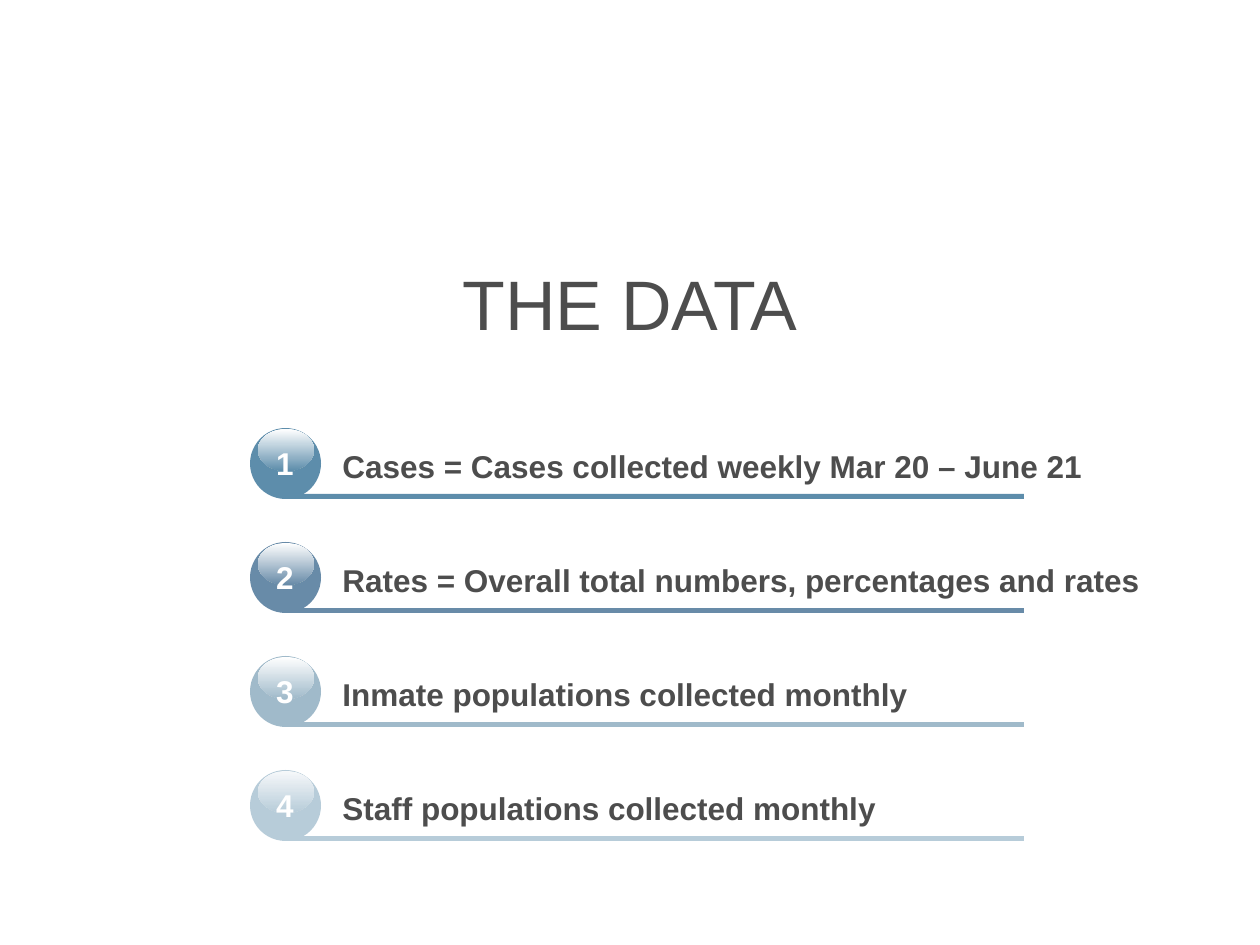
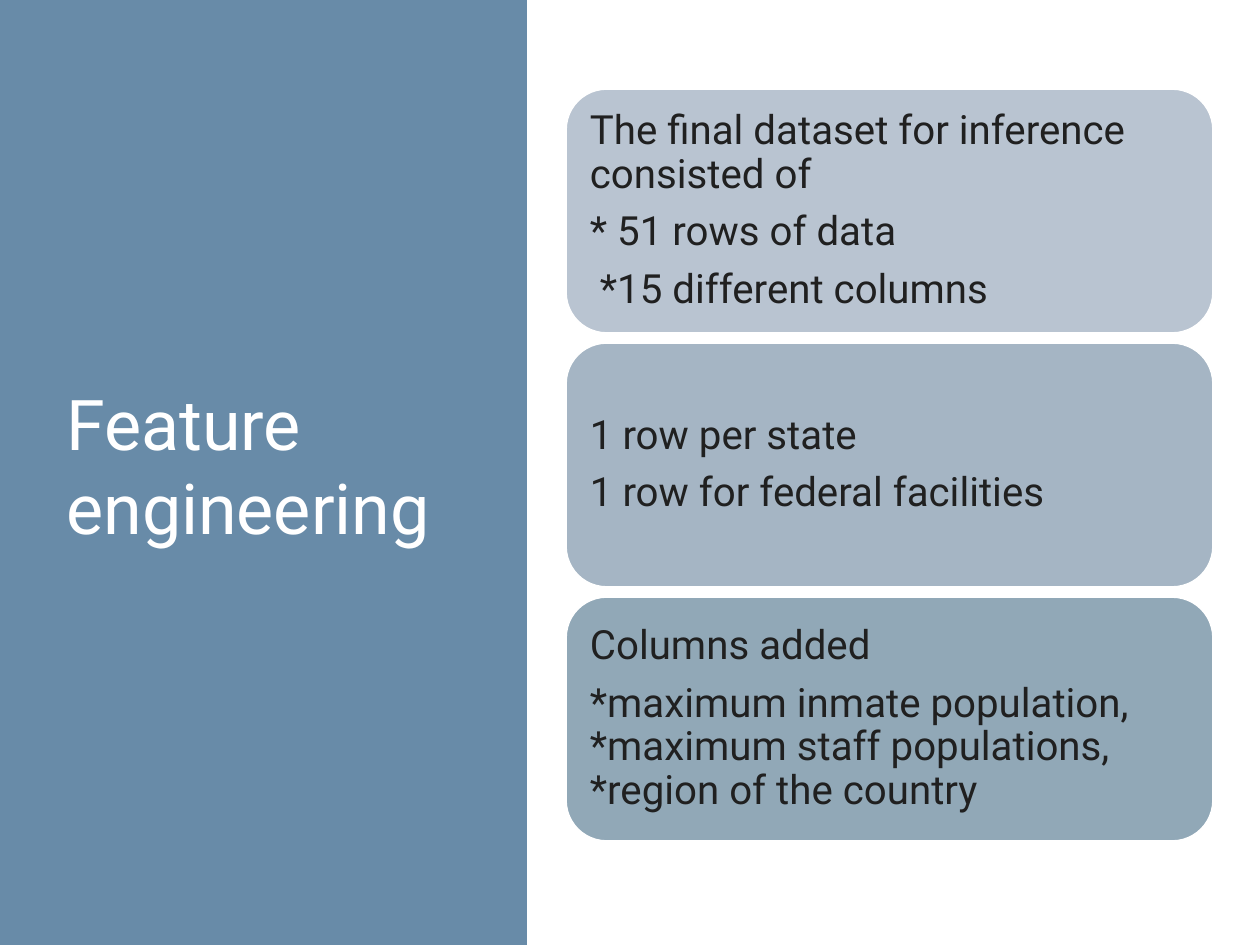
import pptx
import pptx.util
import pptx.dml.color
import pptx.enum.shapes
import pptx.enum.text

SHAPE = pptx.enum.shapes.MSO_SHAPE
ALIGN = pptx.enum.text.PP_ALIGN
SLIDE_W, SLIDE_H = 1260, 945
SCALE = pptx.util.Inches(10) / SLIDE_W
COLORS = {
    "white": "FFFFFF",
    "gray": "4D4D4D",
    "ink": "202020",
    "teal": "5D8DAB",
    "blue": "688BA8",
    "mist": "A0BACA",
    "ice": "B7CCD9",
    "frost": "F6F8FA",
    "card_light": "B9C4D1",
    "card_mid": "A5B5C4",
    "card_dark": "91A8B7",
}
DATA_POINTS = [
    ("Cases = Cases collected weekly Mar 20 – June 21", "teal", "white"),
    ("Rates = Overall total numbers, percentages and rates", "blue", "white"),
    ("Inmate populations collected monthly", "mist", "white"),
    ("Staff populations collected monthly", "ice", "frost"),
]
CARDS = [
    ("card_light", ["The final dataset for inference consisted of",
                    "* 51 rows of data", " *15 different columns"]),
    ("card_mid", ["1 row per state", "1 row for federal facilities"]),
    ("card_dark", ["Columns added",
                   "*maximum inmate population, *maximum staff populations, "
                   "*region of the country"]),
]


def px(n):
    return pptx.util.Emu(round(n * SCALE))


def rgb(name):
    return pptx.dml.color.RGBColor.from_string(COLORS[name])


def add_shape(s, kind, box, fill=None):
    sp = s.shapes.add_shape(kind, *map(px, box))
    sp.shadow.inherit = False
    sp.line.fill.background()
    if fill:
        sp.fill.solid()
        sp.fill.fore_color.rgb = rgb(fill)
    else:
        sp.fill.background()
    return sp


def set_text(sp, lines, font, size, color, align=ALIGN.LEFT, bold=False, wrap=True):
    tf = sp.text_frame
    tf.word_wrap = wrap
    tf.vertical_anchor = pptx.enum.text.MSO_ANCHOR.MIDDLE
    for i, line in enumerate(lines):
        p = tf.add_paragraph() if i else tf.paragraphs[0]
        p.text = line
        p.alignment = align
        p.font.name = font
        p.font.size = pptx.util.Pt(size)
        p.font.bold = bold
        p.font.color.rgb = rgb(color)
    return tf


def add_data_point(s, x, y, number, label, color, shine):
    add_shape(s, SHAPE.RECTANGLE, (x + 35, y + 66, 739, 5), color)
    add_shape(s, SHAPE.OVAL, (x, y, 71, 71), color)
    gloss = add_shape(s, SHAPE.OVAL, (x + 8, y + 1, 56, 42))
    gloss.fill.gradient()
    gloss.fill.gradient_angle = 270
    for stop, name in zip(gloss.fill.gradient_stops, (shine, color)):
        stop.color.rgb = rgb(name)
    badge = add_shape(s, SHAPE.RECTANGLE, (x - 8, y - 6, 86, 81))
    set_text(badge, [str(number)], "Arial", 18, "white", ALIGN.CENTER, True, False)
    text = add_shape(s, SHAPE.RECTANGLE, (x + 80, y - 6, 672, 87))
    set_text(text, [label], "Arial", 18, "gray", bold=True, wrap=False)


def build_data_slide(s):
    title = add_shape(s, SHAPE.RECTANGLE, (231, 194, 798, 217))
    set_text(title, ["THE DATA"], "Arial", 40, "gray", ALIGN.CENTER, wrap=False)
    for i, (label, color, shine) in enumerate(DATA_POINTS):
        add_data_point(s, 250, 428 + i * 114, i + 1, label, color, shine)


def add_title_panel(s, x, y, w, h):
    add_shape(s, SHAPE.RECTANGLE, (x, y, w, h), "blue")
    title = s.shapes.add_textbox(*map(px, (x + 54, y + 86, 393, h - 187)))
    set_text(title, ["Feature engineering"], "Roboto", 40, "white")


def add_card(s, box, color, lines):
    card = add_shape(s, SHAPE.ROUNDED_RECTANGLE, box, color)
    card.line.color.rgb = rgb("white")
    card.line.width = pptx.util.Pt(1)
    tf = set_text(card, lines, "Roboto", 23, "ink")
    tf.margin_left = tf.margin_right = tf.margin_top = tf.margin_bottom = px(12)
    for p in tf.paragraphs:
        p.line_spacing = 0.9
        p.space_after = pptx.util.Pt(8)


def build_feature_slide(s):
    add_title_panel(s, 0, 0, 527, SLIDE_H)
    for i, (color, lines) in enumerate(CARDS):
        add_card(s, (566, 89 + i * 254, 647, 244), color, lines)


def main():
    prs = pptx.Presentation()
    prs.slide_width, prs.slide_height = px(SLIDE_W), px(SLIDE_H)
    for build in (build_data_slide, build_feature_slide):
        build(prs.slides.add_slide(prs.slide_layouts[6]))
    prs.save("out.pptx")


if __name__ == "__main__":
    main()
